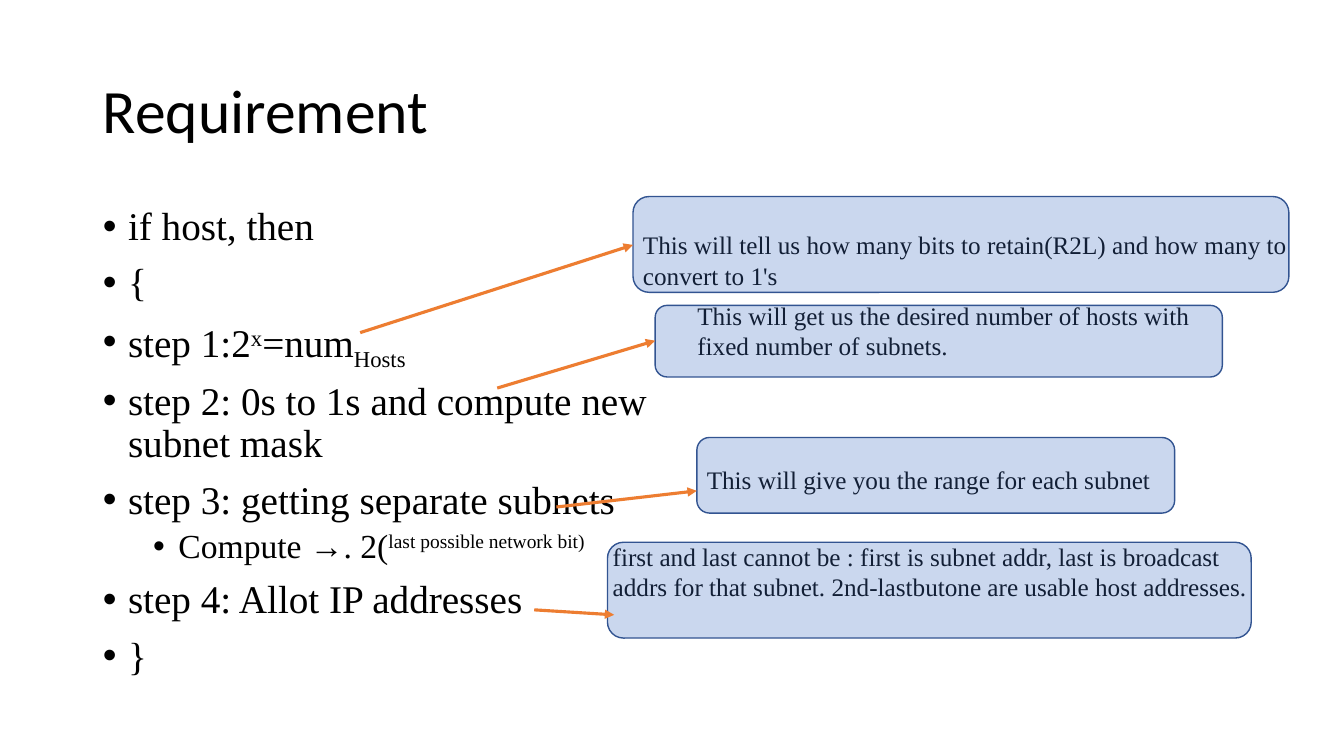
from pptx import Presentation
from pptx import util as u
from pptx.dml.color import RGBColor
from pptx.enum import shapes, text
from pptx.oxml.ns import qn
from lxml import etree

SERIF = "Times New Roman"
INK, BLUE, EDGE, ORANGE = "000000", "4472C4", "325491", "ED7D31"

# Places are (left, top, width, height) in percent of the slide
TITLE = "Requirement", (6.9, 5.33, 86.25, 19.33)
BODY = (6.9, 26.67, 43.4, 63.47)

# Each step: level, then runs of (text, baseline in percent)
STEPS = [
    (0, [("if host, then", 0)]),
    (0, [("{", 0)]),
    (0, [("step 1:2", 0), ("x", 30), ("=num", 0), ("Hosts", -25)]),
    (0, [("step 2: 0s to 1s and compute new subnet mask", 0)]),
    (0, [("step 3: getting separate subnets", 0)]),
    (1, [("Compute →. 2(", 0), ("last possible network bit)", 30)]),
    (0, [("step 4: Allot IP addresses", 0)]),
    (0, [("}", 0)]),
]
LEVELS = [(28, 10, 0.25), (24, 5, 0.75)]  # size, space before, indent

# Each note: words, wrap, text place, box place, arrow start, arrow end
NOTES = [
    ("This will tell us how many bits to retain(R2L) and how many to convert to 1's",
     True, (47.1, 29.73, 50, 9.47), (47.1, 26, 48.8, 12.67),
     (26.8, 44), (47.1, 32.4)),
    ("This will get us the desired number of hosts with\nfixed number of subnets.",
     True, (51.15, 39.07, 50, 9.47), (48.75, 40.4, 42.2, 9.47),
     (37, 51.33), (48.75, 45.07)),
    ("This will give you the range for each subnet",
     False, (51.85, 60.8, 34.7, 5.33), (51.85, 57.87, 35.55, 10),
     (41.4, 67.07), (51.85, 64.93)),
    ("first and last cannot be : first is subnet addr, last is broadcast addrs "
     "for that subnet. 2nd-lastbutone are usable host addresses.",
     True, (44.85, 70.93, 50, 9.47), (45.2, 71.73, 47.9, 12.67),
     (39.75, 80.67), (45.7, 81.33)),
]

deck = Presentation()
deck.slide_width, deck.slide_height = u.Inches(13.33), u.Inches(7.5)
slide = deck.slides.add_slide(deck.slide_layouts[1])
items = slide.shapes


def rgb(code):
    return RGBColor.from_string(code)


def spot(place):
    """Turn percent pairs into lengths on the slide."""
    sides = (deck.slide_width, deck.slide_height)
    return [int(share * sides[i % 2] / 100) for i, share in enumerate(place)]


def move(shape, place):
    shape.left, shape.top, shape.width, shape.height = spot(place)


def style(para, size, face=SERIF):
    para.font.size, para.font.name = u.Pt(size), face
    para.font.color.rgb = rgb(INK)


def add(parent, tag, **attrs):
    return etree.SubElement(parent, qn(tag), attrs)


# Title
title = items.title
move(title, TITLE[1])
title.text_frame.text = TITLE[0]
title.text_frame.vertical_anchor = text.MSO_ANCHOR.MIDDLE
head = title.text_frame.paragraphs[0]
head.alignment, head.line_spacing = text.PP_ALIGN.LEFT, 0.9
style(head, 44, "Calibri")

# Steps
body = slide.placeholders[1]
move(body, BODY)
frame = body.text_frame
frame.auto_size = text.MSO_AUTO_SIZE.NONE
for i, (level, runs) in enumerate(STEPS):
    para = frame.add_paragraph() if i else frame.paragraphs[0]
    size, gap, indent = LEVELS[level]
    para.level, para.line_spacing, para.space_before = level, 0.9, u.Pt(gap)
    props = para._p.get_or_add_pPr()
    props.set("marL", str(u.Inches(indent)))
    props.set("indent", str(u.Inches(-0.25)))
    add(props, "a:buFont", typeface="Arial")
    add(props, "a:buChar", char="•")
    style(para, size)
    for words, base in runs:
        run = para.add_run()
        run.text = words
        if base:
            run._r.get_or_add_rPr().set("baseline", str(base * 1000))

# Note texts
for words, wrap, place, *_ in NOTES:
    frame = items.add_textbox(*spot(place)).text_frame
    frame.word_wrap = wrap
    frame.auto_size = text.MSO_AUTO_SIZE.SHAPE_TO_FIT_TEXT
    frame.text = words
    for para in frame.paragraphs:
        style(para, 18)

# Translucent boxes, last one at the back
for note in reversed(NOTES):
    box = items.add_shape(shapes.MSO_SHAPE.ROUNDED_RECTANGLE, *spot(note[3]))
    box.shadow.inherit = False
    box.fill.solid()
    box.fill.fore_color.rgb = rgb(BLUE)
    tint = box._element.spPr.find(qn("a:solidFill"))[0]
    add(tint, "a:alpha", val="28000")
    box.line.color.rgb, box.line.width = rgb(EDGE), u.Pt(1)

# Arrows from steps to boxes
for *_, start, end in NOTES:
    arrow = items.add_connector(shapes.MSO_CONNECTOR.STRAIGHT, *spot(start + end))
    arrow.line.color.rgb, arrow.line.width = rgb(ORANGE), u.Pt(2.25)
    add(arrow.line._get_or_add_ln(), "a:tailEnd", type="triangle")
    add(arrow._element.spPr, "a:effectLst")

deck.save("out.pptx")
